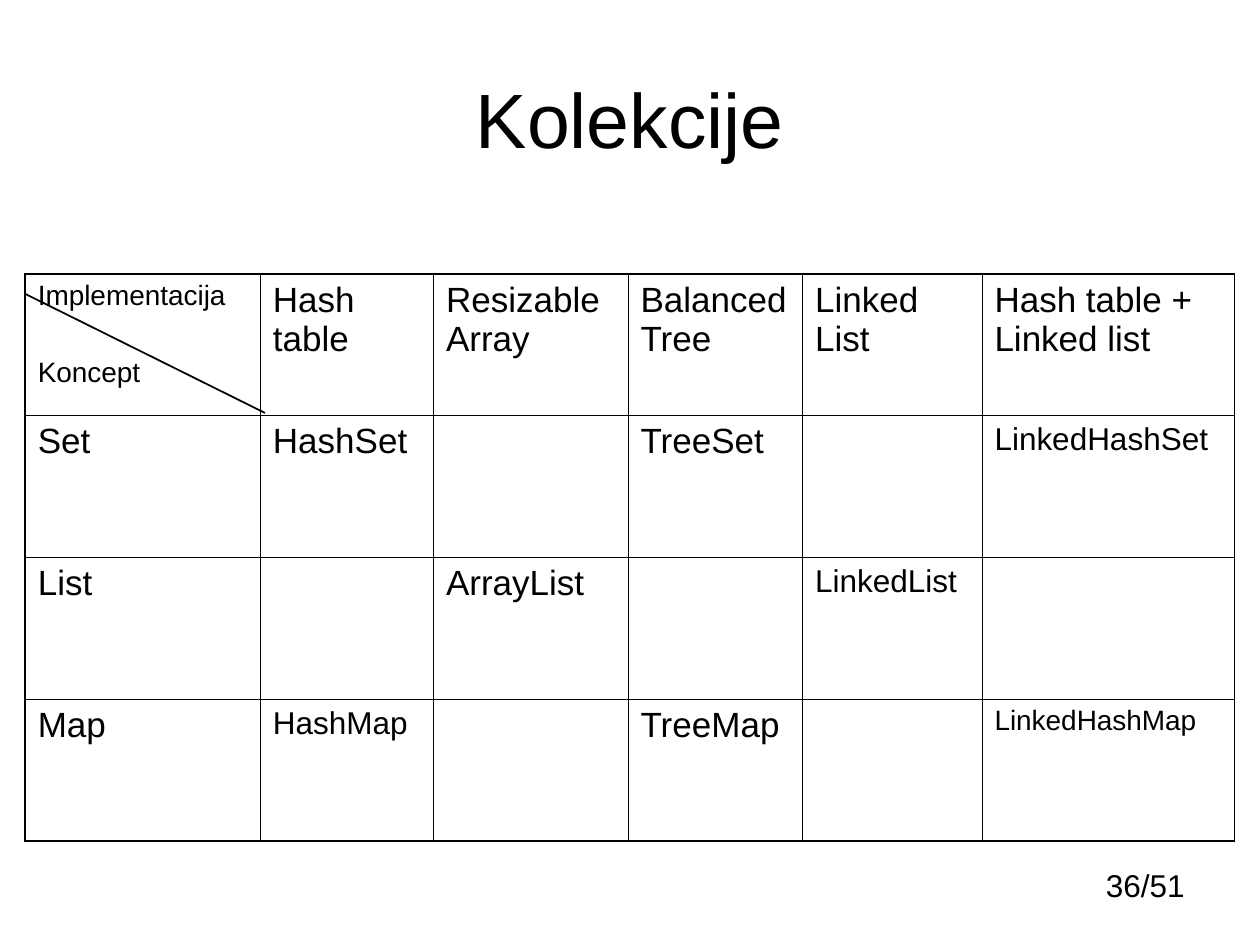
from lxml import etree
from pptx import Presentation
from pptx.dml.color import RGBColor
from pptx.enum.shapes import MSO_CONNECTOR
from pptx.enum.text import MSO_ANCHOR, PP_ALIGN
from pptx.oxml.ns import qn
from pptx.util import Inches, Pt

LEFT, CENTER, RIGHT = PP_ALIGN.LEFT, PP_ALIGN.CENTER, PP_ALIGN.RIGHT
TOP, MIDDLE = MSO_ANCHOR.TOP, MSO_ANCHOR.MIDDLE
STRAIGHT = MSO_CONNECTOR.STRAIGHT

BLACK = RGBColor(0, 0, 0)
FONT = "Arial"
WIDTH, HEIGHT = Inches(10), Inches(7.5)
INNER, OUTER = Pt(0.45), Pt(1.08)

COLUMNS = [1.86, 1.37, 1.54, 1.38, 1.42, 2]
CONCEPTS = [
    ["Implementacija\nKoncept", "Hash table", "Resizable Array",
     "Balanced Tree", "Linked List", "Hash table + Linked list"],
    ["Set", "HashSet", "", "TreeSet", "", "LinkedHashSet"],
    ["List", "", "ArrayList", "", "LinkedList", ""],
    ["Map", "HashMap", "", "TreeMap", "", "LinkedHashMap"],
]
SMALLER = {(0, 0): 16, (1, 5): 18, (2, 4): 18, (3, 1): 18, (3, 5): 16}


def share(left, top, width, height):
    """Turn shares of the slide into a box of lengths."""
    return (round(left * WIDTH), round(top * HEIGHT),
            round(width * WIDTH), round(height * HEIGHT))


def write(frame, text, size, align=LEFT, before=0, gap=0):
    """Write the lines of a text into a frame with one format."""
    frame.word_wrap = True
    for index, line in enumerate(text.split("\n")):
        paragraph = frame.add_paragraph() if index else frame.paragraphs[0]
        paragraph.alignment = align
        paragraph.space_before = Pt(gap if index else before)
        run = paragraph.add_run()
        run.text = line
        run.font.name = FONT
        run.font.size = Pt(size)
        run.font.color.rgb = BLACK


def add_label(slide, box, text, size, align, anchor=TOP):
    """Place a line of text in its box."""
    frame = slide.shapes.add_textbox(*box).text_frame
    frame.vertical_anchor = anchor
    write(frame, text, size, align)


def set_borders(cell, widths):
    """Draw the left, right, top and bottom borders of a cell."""
    properties = cell._tc.get_or_add_tcPr()
    for index, (side, width) in enumerate(zip("LRTB", widths)):
        border = etree.Element(qn(f"a:ln{side}"), w=str(width))
        fill = etree.SubElement(border, qn("a:solidFill"))
        etree.SubElement(fill, qn("a:srgbClr"), val=str(BLACK))
        properties.insert(index, border)


def add_collections(slide, box):
    """Place the table of concepts and implementations in its box."""
    left, top, width, height = box
    last_row, last_column = len(CONCEPTS) - 1, len(COLUMNS) - 1
    table = slide.shapes.add_table(last_row + 1, last_column + 1, *box).table
    table.first_row = table.horz_banding = False
    for column, part in zip(table.columns, COLUMNS):
        column.width = round(width * part / sum(COLUMNS))
    for r, names in enumerate(CONCEPTS):
        for c, name in enumerate(names):
            cell = table.cell(r, c)
            cell.fill.background()
            edges = (c == 0, c == last_column, r == 0, r == last_row)
            set_borders(cell, [OUTER if edge else INNER for edge in edges])
            if name:
                size = SMALLER.get((r, c), 20)
                write(cell.text_frame, name, size, before=size / 4, gap=26)
    add_diagonal(slide, (left, top, table.columns[0].width, table.rows[0].height))


def add_diagonal(slide, box):
    """Split the corner cell with a slanted line."""
    left, top, width, height = box
    diagonal = slide.shapes.add_connector(
        STRAIGHT, left + round(1.02 * width), top + round(0.98 * height),
        left, top + round(0.14 * height))
    diagonal.line.color.rgb = BLACK
    diagonal.line.width = Pt(1)
    etree.SubElement(diagonal._element.spPr, qn("a:effectLst"))


def main():
    """Build the slide and save it."""
    deck = Presentation()
    deck.slide_width, deck.slide_height = WIDTH, HEIGHT
    slide = deck.slides.add_slide(deck.slide_layouts[6])
    add_label(slide, share(0.72, 0.91, 0.23, 0.05), "36/51", 18, RIGHT)
    add_label(slide, share(0.05, 0.04, 0.9, 0.17), "Kolekcije", 44, CENTER, MIDDLE)
    add_collections(slide, share(0.02, 0.29, 0.96, 0.6))
    deck.save("out.pptx")


if __name__ == "__main__":
    main()
